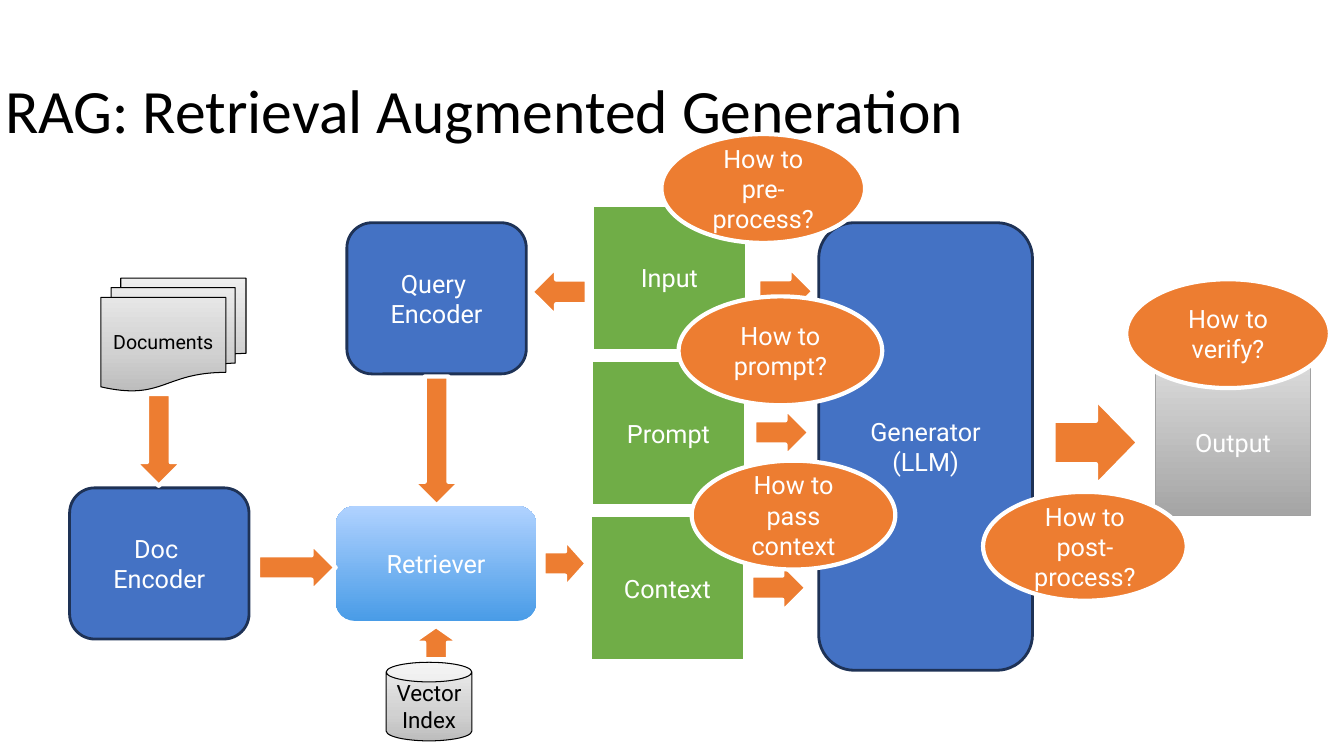
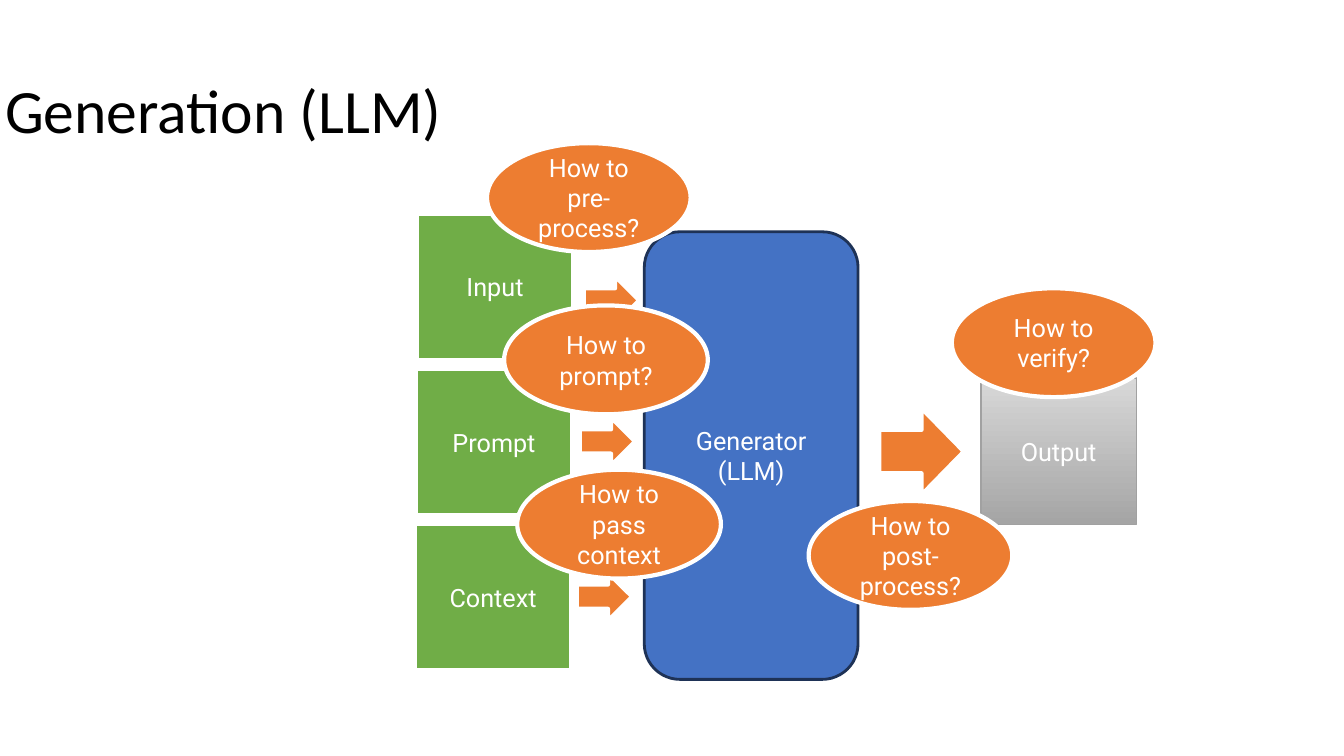
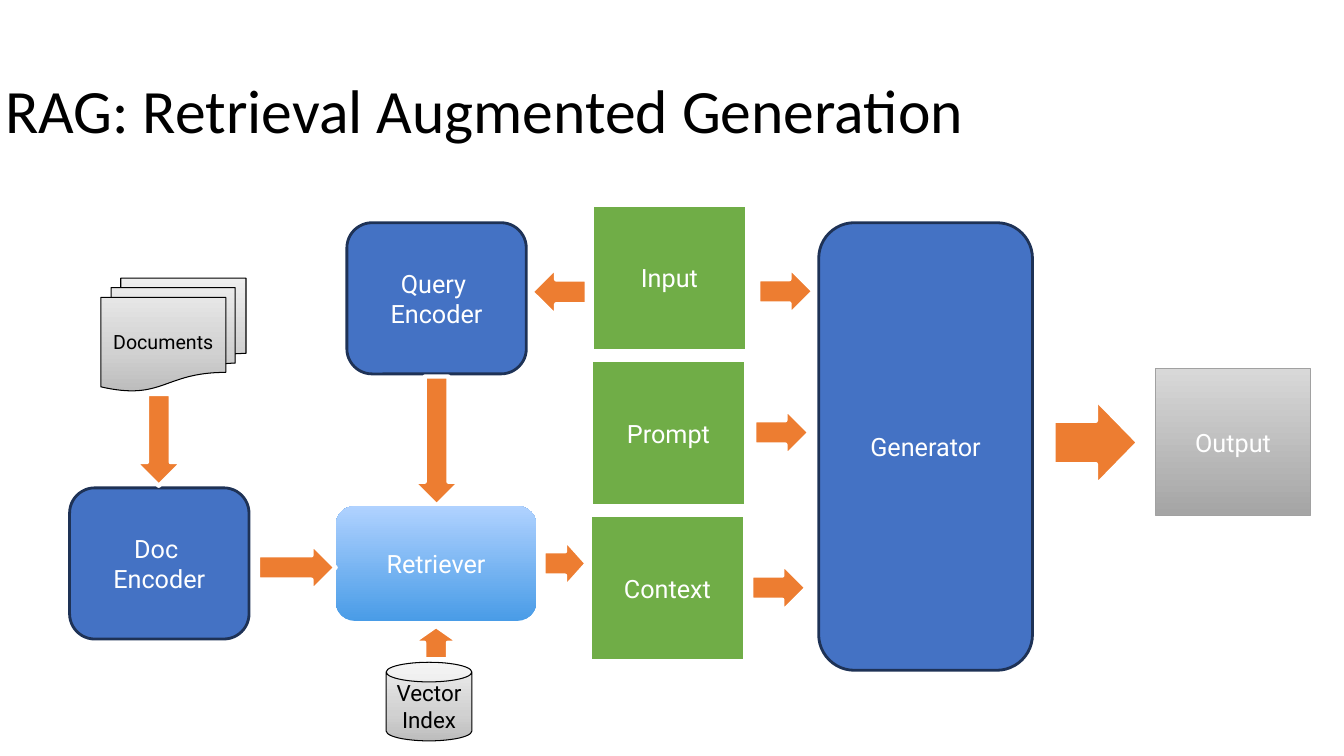
from copy import deepcopy
from dataclasses import dataclass

from pptx import Presentation
from pptx.dml.color import RGBColor
from pptx.enum.shapes import MSO_SHAPE
from pptx.enum.text import MSO_ANCHOR, MSO_AUTO_SIZE, PP_ALIGN
from pptx.oxml.ns import qn
from pptx.util import Inches, Pt

ROUNDED, RECTANGLE = MSO_SHAPE.ROUNDED_RECTANGLE, MSO_SHAPE.RECTANGLE
ARROW, ELLIPSE = MSO_SHAPE.RIGHT_ARROW, MSO_SHAPE.OVAL
CAN, MULTIDOCUMENT = MSO_SHAPE.CAN, MSO_SHAPE.FLOWCHART_MULTIDOCUMENT
LEFT, CENTER = PP_ALIGN.LEFT, PP_ALIGN.CENTER
MIDDLE = MSO_ANCHOR.MIDDLE


@dataclass(frozen=True)
class Theme:
    title_font: str = "Calibri"
    body_font: str = "Roboto"
    title_size: int = 44
    label_size: int = 18
    index_size: int = 16
    document_size: int = 14
    white: str = "FFFFFF"
    black: str = "000000"
    blue: str = "4472C4"
    navy: str = "1E3256"
    orange: str = "ED7D31"
    green: str = "70AD47"
    gray_line: str = "A1A1A1"
    # Gradients run from bottom to top: (position, colour)
    gray: tuple = ((0, "A5A5A5"), (1, "D8D8D8"))
    sky: tuple = ((0, "499CE7"), (1, "B0D2FF"))
    silver: tuple = ((0, "BDBDBD"), (0.35, "D1D1D1"), (1, "EEEEEE"))


THEME = Theme()

# Style: preset, fill, line colour, line width, text colour, text size
STYLES = {
    "model": (ROUNDED, THEME.blue, THEME.navy, 2, THEME.white, THEME.label_size),
    "retriever": (ROUNDED, THEME.sky, None, 0, THEME.white, THEME.label_size),
    "input": (RECTANGLE, THEME.green, THEME.white, 3, THEME.white, THEME.label_size),
    "output": (RECTANGLE, THEME.gray, THEME.gray_line, 0.75, THEME.white, THEME.label_size),
    "arrow": (ARROW, THEME.orange, THEME.white, 3, THEME.white, THEME.label_size),
    "question": (ELLIPSE, THEME.orange, THEME.white, 3, THEME.white, THEME.label_size),
    "index": (CAN, THEME.silver, THEME.black, 0.75, THEME.black, THEME.index_size),
    "documents": (MULTIDOCUMENT, THEME.silver, THEME.black, 0.75, THEME.black,
                  THEME.document_size),
}

# Parts: style, text, left, top, width, height, rotation
RETRIEVAL = [
    ("model", "Query \nEncoder", 3.44, 2.21, 1.78, 1.5, 0),
    ("model", "Doc \nEncoder", 0.69, 4.84, 1.78, 1.5, 0),
    ("index", "Vector Index", 3.83, 6.57, 0.85, 0.78, 0),
    ("arrow", "", 5.27, 2.65, 0.55, 0.49, 180),
    ("arrow", "", 3.69, 4.14, 1.28, 0.47, 90),
    ("retriever", "Retriever", 3.33, 5.02, 1.99, 1.14, 0),
    ("arrow", "", 4.16, 6.14, 0.33, 0.47, 270),
    ("arrow", "", 5.39, 5.35, 0.43, 0.48, 0),
    ("arrow", "", 2.56, 5.39, 0.77, 0.48, 0),
    ("documents", "Documents", 1, 2.76, 1.44, 1.12, 0),
    ("arrow", "", 1.12, 4.13, 0.91, 0.47, 90),
]
OUTPUT = [
    ("arrow", "", 10.45, 3.96, 0.84, 0.86, 0),
    ("output", "Output", 11.46, 3.66, 1.54, 1.45, 0),
]
INPUTS = ["Input", "Prompt", "Context"]
INPUT_LEFT, INPUT_TOP = 5.87, 2.03
INPUT_SHIFT, INPUT_PITCH = -0.01, 1.54
INPUT_ARROWS = [(7.52, 2.65), (7.48, 4.05), (7.45, 5.59)]
QUESTIONS = [
    ("How to prompt?", 6.73, 2.94),
    ("How to post-process?", 9.75, 4.88),
    ("How to pass context", 6.86, 4.57),
    ("How to pre-process?", 6.56, 1.33),
    ("How to verify?", 11.17, 2.77),
]

RAG_TITLE = "RAG: Retrieval Augmented Generation"
# Slides: title, generator label, has retrieval, has questions, diagram offset
SLIDES = [
    (RAG_TITLE, "Generator\v(LLM)", True, True, (0, 0)),
    ("Generation (LLM)", "Generator\v(LLM)", False, True, (-1.73, 0.09)),
    (RAG_TITLE, "Generator", True, False, (0, 0)),
]


def color(value):
    return RGBColor.from_string(value)


def format_text(text_frame, font_name, size, text_color, alignment):
    text_frame.word_wrap = True
    text_frame.vertical_anchor = MIDDLE
    for paragraph in text_frame.paragraphs:
        paragraph.alignment = alignment
        for run in paragraph.runs:
            run.font.name = font_name
            run.font.size = Pt(size)
            run.font.color.rgb = color(text_color)


def fill_gradient(shape, stops):
    shape.fill.gradient()
    shape.fill.gradient_angle = 90
    stop_list = shape._element.spPr.find(".//" + qn("a:gsLst"))
    while len(stop_list) < len(stops):
        stop_list.append(deepcopy(stop_list[-1]))
    for stop, (position, stop_color) in zip(shape.fill.gradient_stops, stops):
        stop.position = position
        stop.color.rgb = color(stop_color)


def add_part(slide, part, offset):
    style, text, left, top, width, height, rotation = part
    preset, fill, line_color, line_width, text_color, size = STYLES[style]
    shape = slide.shapes.add_shape(
        preset, Inches(left + offset[0]), Inches(top + offset[1]),
        Inches(width), Inches(height))
    shape.rotation = rotation
    shape.shadow.inherit = False
    if isinstance(fill, tuple):
        fill_gradient(shape, fill)
    else:
        shape.fill.solid()
        shape.fill.fore_color.rgb = color(fill)
    if line_color:
        shape.line.color.rgb = color(line_color)
        shape.line.width = Pt(line_width)
    else:
        shape.line.fill.background()
    if text:
        shape.text_frame.text = text
        format_text(shape.text_frame, THEME.body_font, size, text_color, CENTER)


def add_title(slide, text):
    title = slide.shapes.title
    title.left, title.top = Inches(0), Inches(0.4)
    title.width, title.height = Inches(11.5), Inches(1.45)
    text_frame = title.text_frame
    text_frame.text = text
    text_frame.auto_size = MSO_AUTO_SIZE.NONE
    text_frame.margin_left = text_frame.margin_right = Inches(0.05)
    text_frame.margin_top = text_frame.margin_bottom = Inches(0.05)
    text_frame.paragraphs[0].line_spacing = 0.9
    format_text(text_frame, THEME.title_font, THEME.title_size, THEME.black, LEFT)


def diagram_parts(generator_label, has_retrieval, has_questions):
    """List the parts from back to front."""
    parts = [("model", generator_label, 8.12, 2.21, 2.12, 4.44, 0)] + OUTPUT
    for row, label in enumerate(INPUTS):
        parts.append(("input", label, INPUT_LEFT + row * INPUT_SHIFT,
                      INPUT_TOP + row * INPUT_PITCH, 1.54, 1.45, 0))
    parts += [("arrow", "", left, top, 0.55, 0.48, 0) for left, top in INPUT_ARROWS]
    if has_retrieval:
        parts += RETRIEVAL
    if has_questions:
        parts += [("question", text, left, top, 2.02, 1.08, 0)
                  for text, left, top in QUESTIONS]
    return parts


def main():
    presentation = Presentation()
    presentation.slide_width, presentation.slide_height = Inches(13.33), Inches(7.5)
    title_only = presentation.slide_layouts[5]
    for title, generator_label, has_retrieval, has_questions, offset in SLIDES:
        slide = presentation.slides.add_slide(title_only)
        add_title(slide, title)
        for part in diagram_parts(generator_label, has_retrieval, has_questions):
            add_part(slide, part, offset)
    presentation.save("out.pptx")


if __name__ == "__main__":
    main()
